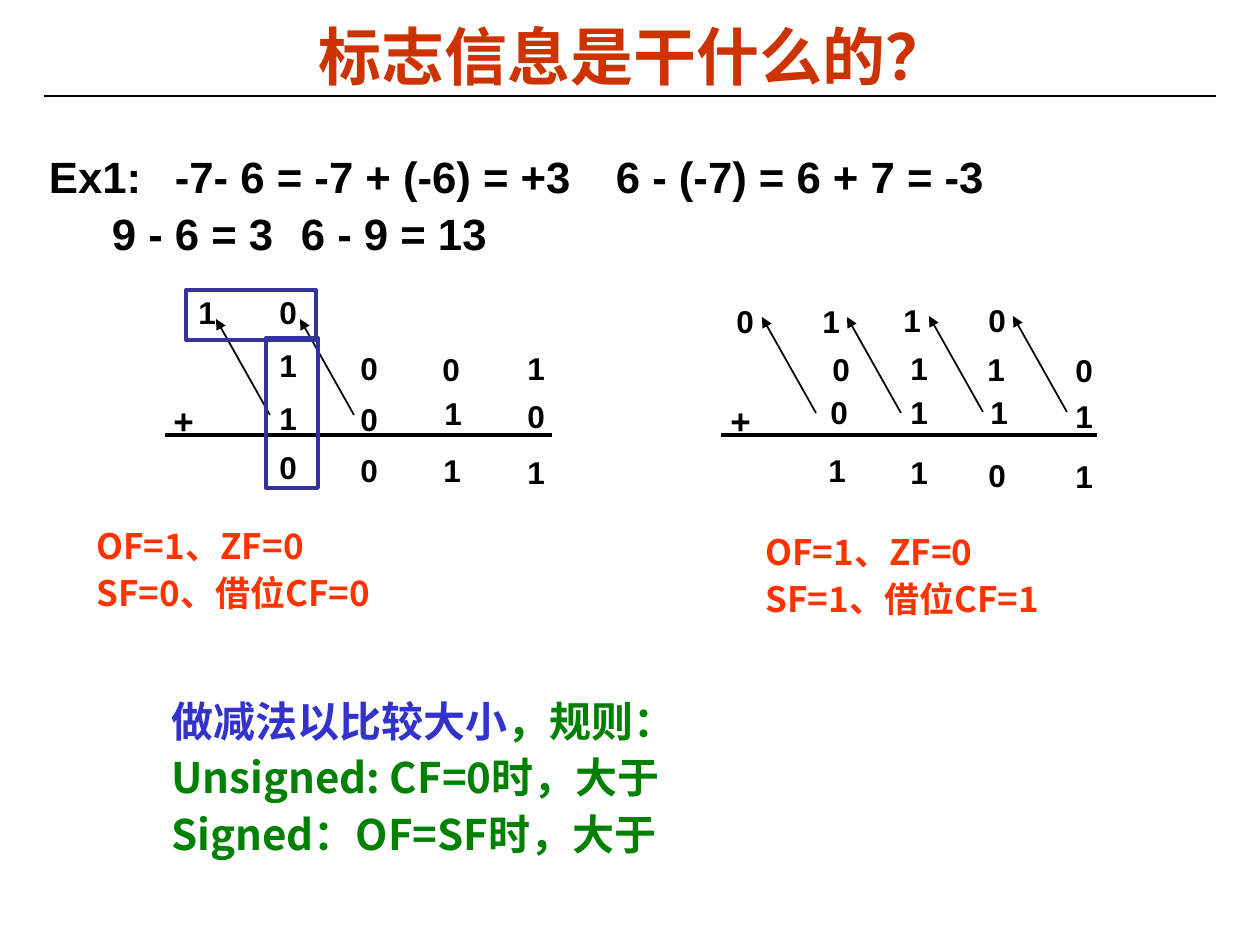
from lxml import etree
from pptx import Presentation
from pptx.dml.color import RGBColor
from pptx.enum.shapes import MSO_CONNECTOR as Connector, MSO_SHAPE as Shape
from pptx.enum.text import MSO_ANCHOR as Anchor, MSO_AUTO_SIZE as AutoSize, PP_ALIGN as Align
from pptx.oxml.ns import qn
from pptx.util import Emu, Pt

SCALE = 914400 // 126
COLORS = {"black": "000000", "title": "CC3300", "frame": "333399",
          "flags": "FF3300", "topic": "3333CC", "rule": "008000"}
LATIN, CJK = "Arial", "Noto Sans CJK SC"


def px(value):
    return Emu(value * SCALE)


class SlideStyle:
    def __init__(self, deck):
        self.page = deck.slides.add_slide(deck.slide_layouts[1])

    def color(self, name):
        return RGBColor.from_string(COLORS[name])

    def font(self, para, size, color, name=LATIN):
        font = para.font
        font.name, font.size, font.bold = name, Pt(size), True
        font.color.rgb = self.color(color)
        east_asian = etree.SubElement(font._element, qn("a:ea"))
        east_asian.set("typeface", CJK)

    def place(self, box, left, top, width, height):
        box.left, box.top, box.width, box.height = map(px, (left, top, width, height))
        frame = box.text_frame
        frame.auto_size, frame.word_wrap = AutoSize.NONE, True
        frame.margin_left = frame.margin_right = px(9)
        frame.margin_top = frame.margin_bottom = px(4)
        return frame

    def title(self, text, area):
        frame = self.place(self.page.shapes.title, *area)
        frame.vertical_anchor = Anchor.MIDDLE
        frame.text = text
        para = frame.paragraphs[0]
        para.alignment = Align.CENTER
        self.font(para, 36, "title")

    def body(self, lines, area):
        frame = self.place(self.page.placeholders[1], *area)
        frame.text = "\n".join(text for text, _, _ in lines)
        for para, (_, spacing, stops) in zip(frame.paragraphs, lines):
            para.line_spacing, para.space_before = spacing, Pt(0)
            self.font(para, 25, "black")
            props = para._p.get_or_add_pPr()
            props.set("marL", "0")
            props.set("indent", "0")
            # Bullets and tab stops come before the default run properties
            default = props.find(qn("a:defRPr"))
            default.addprevious(etree.Element(qn("a:buNone")))
            tabs = etree.Element(qn("a:tabLst"))
            for stop in stops:
                etree.SubElement(tabs, qn("a:tab"), pos=str(px(stop)), algn="l")
            default.addprevious(tabs)

    def digit(self, text, left, top, size=18):
        box = self.page.shapes.add_textbox(px(left), px(top), px(43), px(50))
        box.text_frame.word_wrap = False
        para = box.text_frame.paragraphs[0]
        para.text = text
        self.font(para, size, "black")

    def note(self, lines, area, size):
        box = self.page.shapes.add_textbox(*map(px, area))
        frame = box.text_frame
        frame.word_wrap = True
        for index, spans in enumerate(lines):
            para = frame.add_paragraph() if index else frame.paragraphs[0]
            para.space_before = Pt(size * 0.15)
            self.font(para, size, spans[-1][1], CJK)
            for text, color in spans:
                span = para.add_run()
                span.text = text
                if color != spans[-1][1]:
                    span.font.color.rgb = self.color(color)

    def line(self, start, end, width, arrow=False):
        line = self.page.shapes.add_connector(Connector.STRAIGHT, *map(px, start + end))
        line.line.width = Pt(width)
        line.line.color.rgb = self.color("black")
        if arrow:
            etree.SubElement(line.line._get_or_add_ln(), qn("a:tailEnd"), type="triangle")
        etree.SubElement(line._element.spPr, qn("a:effectLst"))

    def frame(self, area):
        box = self.page.shapes.add_shape(Shape.RECTANGLE, *map(px, area))
        box.shadow.inherit = False
        box.fill.background()
        box.line.color.rgb = self.color("frame")
        box.line.width = Pt(2.25)


deck = Presentation()
deck.slide_width, deck.slide_height = px(1260), px(945)
slide = SlideStyle(deck)

# Heading and equations
slide.line((44, 96), (1216, 96), 0.75)
slide.title("标志信息是干什么的？", (72, 14, 1124, 83))
slide.body([("Ex1:\t-7- 6 = -7 + (-6) = +3\t6 - (-7) = 6 + 7 = -3", 0.95, (117, 682)),
            ("\t9 - 6 = 3\t6 - 9 = 13", 1.05, (156, 734))],
           (40, 150, 1182, 111))

# Binary sums: digits of each row with their left and top edges
sums = [
    {"rows": [("10", (186, 267), (287, 287)),
              ("1001", (267, 348, 430, 515), (340, 343, 344, 343)),
              ("1010", (267, 348, 432, 515), (393, 394, 388, 391)),
              ("0011", (267, 348, 431, 515), (442, 445, 445, 447))],
     "plus": 161, "rule": (165, 552), "arrows": [(270, 415), (354, 415)]},
    {"rows": [("0110", (724, 810, 891, 976), (296, 296, 295, 295)),
              ("0110", (820, 898, 975, 1063), (344, 343, 344, 345)),
              ("0111", (818, 898, 978, 1063), (387, 387, 387, 391)),
              ("1101", (816, 898, 976, 1063), (445, 447, 450, 451))],
     "plus": 718, "rule": (721, 1097),
     "arrows": [(816, 413), (901, 413), (983, 412), (1067, 412)]},
]
for item in sums:
    for digits, lefts, tops in item["rows"]:
        for digit, left, top in zip(digits, lefts, tops):
            slide.digit(digit, left, top)
    slide.digit("+", item["plus"], 393, 20)
    start, end = item["rule"]
    slide.line((start, 435), (end, 435), 2.25)
    for x, y in item["arrows"]:
        slide.line((x, y), (x - 54, y - 96), 1, arrow=True)

# Frames around the carries and the sign column
slide.frame((186, 290, 130, 50))
slide.frame((266, 338, 52, 150))

# Flags and comparison rules
for sign, area in ((0, (84, 518, 564, 103)), (1, (753, 524, 464, 103))):
    slide.note([[("OF=1、ZF=0", "flags")],
                [(f"SF={sign}、借位CF={sign}", "flags")]], area, 20)
slide.note([[("做减法以比较大小", "topic"), ("，规则：", "rule")],
            [("Unsigned: CF=0时，大于", "rule")],
            [("Signed：OF=SF时，大于", "rule")]], (159, 689, 849, 179), 24)

deck.save("out.pptx")
